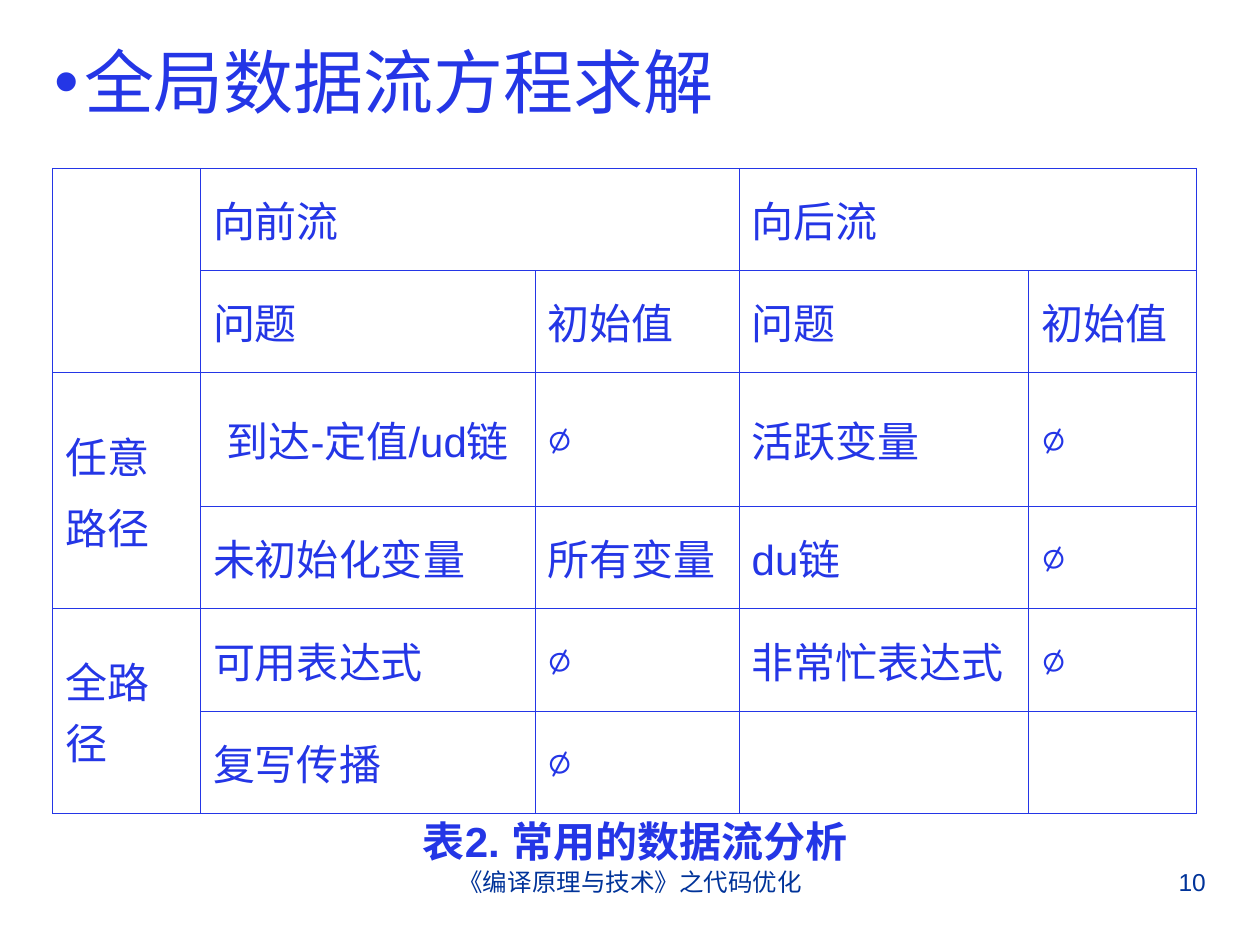
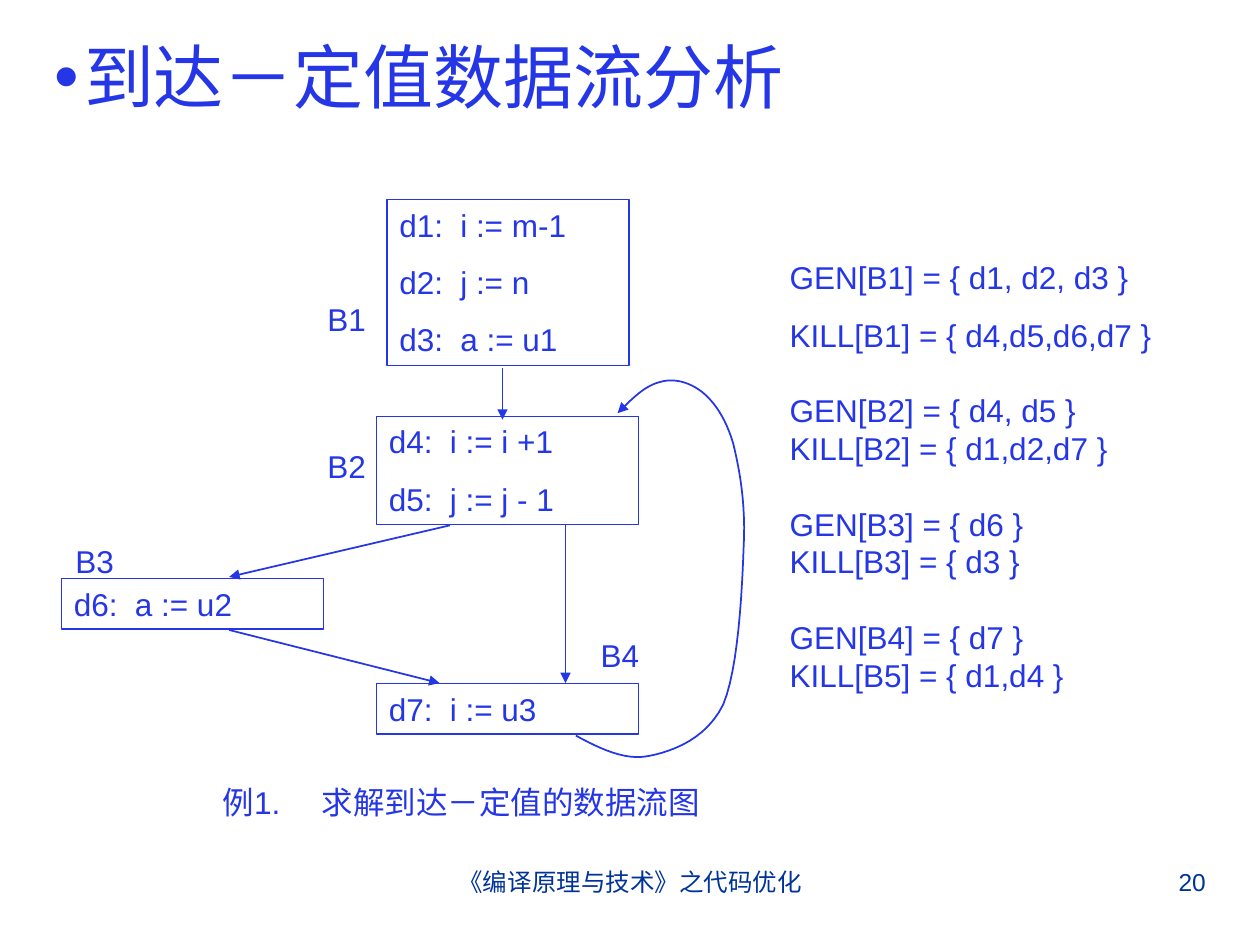
from lxml import etree
from pptx import Presentation
from pptx.dml.color import RGBColor
from pptx.enum import shapes, text
from pptx.oxml import ns
from pptx.util import Cm, Pt

COLORS = {"ink": "2436E6", "footer": "003399"}
FONT, SYMBOL_FONT = "Arial", "Courier New"
EMPTY_SET = "∅"
LEFT, CENTER, RIGHT = text.PP_ALIGN.LEFT, text.PP_ALIGN.CENTER, text.PP_ALIGN.RIGHT
FOOTER = "《编译原理与技术》之代码优化"

# All places and sizes below are in centimetres.
ANALYSES = {
    "title": "全局数据流方程求解",
    "title_height": 1.98,
    "number": "10",
    "caption": "表2. 常用的数据流分析",
    "origin": (1.06, 3.39),
    "columns": [2.98, 6.75, 4.11, 5.84, 3.38],
    "rows": [2.06, 2.06, 2.7, 2.06, 2.06, 2.06],
    "cells": [
        ["", "向前流", "", "向后流", ""],
        ["", "问题", "初始值", "问题", "初始值"],
        ["任意\n路径", "到达-定值/ud链", EMPTY_SET, "活跃变量", EMPTY_SET],
        ["", "未初始化变量", "所有变量", "du链", EMPTY_SET],
        ["全路径", "可用表达式", EMPTY_SET, "非常忙表达式", EMPTY_SET],
        ["", "复写传播", EMPTY_SET, "", ""],
    ],
    "merges": [((0, 0), (1, 0)), ((0, 1), (0, 2)), ((0, 3), (0, 4)),
               ((2, 0), (3, 0)), ((4, 0), (5, 0))],
    "centered": (2, 1),
}

FLOW = {
    "title": "到达－定值数据流分析",
    "title_height": 1.78,
    "number": "20",
    "caption": "例1.\t求解到达－定值的数据流图",
    # name, label position, block box, statements
    "blocks": [
        ("B1", (6.35, 5.92), (7.8, 4.02, 4.88, 3.35),
         ["d1:\ti := m-1", "d2:\tj := n", "d3:\ta := u1"]),
        ("B2", (6.35, 8.89), (7.59, 8.39, 5.28, 2.18),
         ["d4:\ti := i +1", "d5:\tj := j - 1"]),
        ("B3", (1.27, 10.8), (1.24, 11.66, 5.28, 1.02), ["d6:\ta := u2"]),
        ("B4", (11.86, 12.7), (7.59, 13.78, 5.28, 1.02), ["d7:\ti := u3"]),
    ],
    "edges": [
        ((10.13, 7.42), (10.13, 8.46)),
        ((9.07, 10.59), (4.62, 11.63)),
        ((4.62, 12.7), (8.86, 13.77)),
        ((11.4, 10.59), (11.4, 13.77)),
    ],
    # start point, then two control points and an end point for each bend
    "back_edge": [
        (11.61, 14.83),
        (12.09, 15.09), (12.6, 15.34), (13.08, 15.24),
        (13.59, 15.14), (14.25, 14.88), (14.58, 14.2),
        (14.88, 13.49), (14.96, 11.91), (14.99, 11.05),
        (15.04, 10.16), (14.91, 9.47), (14.78, 8.94),
        (14.63, 8.43), (14.4, 8.1), (14.15, 7.9),
        (13.89, 7.7), (13.59, 7.62), (13.31, 7.7),
        (13, 7.77), (12.73, 8.05), (12.45, 8.33),
    ],
    "sets": [
        ("GEN[B1] = { d1, d2, d3 }", "KILL[B1] = { d4,d5,d6,d7 }"),
        ("GEN[B2] = { d4, d5 }", "KILL[B2] = { d1,d2,d7 }"),
        ("GEN[B3] = { d6 }", "KILL[B3] = { d3 }"),
        ("GEN[B4] = { d7 }", "KILL[B5] = { d1,d4 }"),
    ],
}
STATEMENT_GAP, SET_GAP = 11.2, 21.6


def rgb(name):
    return RGBColor.from_string(COLORS[name])


def add_xml(parent, tag, **attributes):
    return etree.SubElement(parent, ns.qn(tag), attributes)


def write(frame, lines, size, gap=0, align=LEFT, color="ink", bold=False, tab=None):
    """Fill a frame; gap is the space before, one for all lines or a list."""
    frame.word_wrap = True
    gaps = gap if isinstance(gap, list) else [gap] * len(lines)
    for index, (line, before) in enumerate(zip(lines, gaps)):
        paragraph = frame.add_paragraph() if index else frame.paragraphs[0]
        paragraph.alignment = align
        paragraph.space_before = Pt(before)
        if tab:
            stops = add_xml(paragraph._p.get_or_add_pPr(), "a:tabLst")
            add_xml(stops, "a:tab", pos=str(Cm(tab)), algn="l")
        run = paragraph.add_run()
        run.text = line
        run.font.name = SYMBOL_FONT if line == EMPTY_SET else FONT
        run.font.size = Pt(size)
        run.font.bold = bold
        run.font.color.rgb = rgb(color)


def add_text(slide, box, lines, size, **style):
    frame = slide.shapes.add_textbox(*map(Cm, box)).text_frame
    write(frame, lines, size, **style)


def draw_line(shape, width, arrow=False):
    shape.line.color.rgb = rgb("ink")
    shape.line.width = Pt(width)
    if arrow:
        add_xml(shape.line._get_or_add_ln(), "a:tailEnd", type="triangle")


def start_slide(deck, content):
    """Add a slide with the shared bulleted title, footer and page number."""
    slide = deck.slides.add_slide(deck.slide_layouts[5])
    title = slide.shapes.title
    title.left, title.top = Cm(0.84), Cm(0.64)
    title.width, title.height = Cm(23.72), Cm(content["title_height"])
    frame = title.text_frame
    frame.auto_size = text.MSO_AUTO_SIZE.NONE
    frame.vertical_anchor = text.MSO_ANCHOR.MIDDLE
    write(frame, [content["title"]], 40)
    layout = frame.paragraphs[0]._p.get_or_add_pPr()
    hang = Cm(0.6)
    layout.set("marL", str(hang))
    layout.set("indent", str(-hang))
    add_xml(add_xml(layout, "a:buClr"), "a:srgbClr", val=COLORS["ink"])
    add_xml(layout, "a:buFont", typeface=FONT)
    add_xml(layout, "a:buChar", char="•")

    add_text(slide, (8.68, 17.35, 8.06, 1.32), [FOOTER], 14,
             align=CENTER, color="footer")
    add_text(slide, (18.2, 17.35, 6.36, 1.32), [content["number"]], 14,
             align=RIGHT, color="footer")
    return slide


def draw_borders(cell):
    properties = cell._tc.get_or_add_tcPr()
    for side in "LRTB":
        border = add_xml(properties, f"a:ln{side}", w=str(Pt(0.45)))
        add_xml(add_xml(border, "a:solidFill"), "a:srgbClr", val=COLORS["ink"])


def add_analyses(slide, content):
    columns, rows = content["columns"], content["rows"]
    box = (*content["origin"], sum(columns), sum(rows))
    table = slide.shapes.add_table(len(rows), len(columns), *map(Cm, box)).table
    table.first_row = table.horz_banding = False
    for column, width in zip(table.columns, columns):
        column.width = Cm(width)
    for row, height in zip(table.rows, rows):
        row.height = Cm(height)
    for first, last in content["merges"]:
        table.cell(*first).merge(table.cell(*last))
    for r, labels in enumerate(content["cells"]):
        for c, label in enumerate(labels):
            cell = table.cell(r, c)
            draw_borders(cell)
            cell.fill.background()
            cell.vertical_anchor = text.MSO_ANCHOR.MIDDLE
            if label:
                align = CENTER if (r, c) == content["centered"] else LEFT
                write(cell.text_frame, label.split("\n"), 24, gap=6, align=align)


def add_block(slide, name, label_at, box, statements):
    block = slide.shapes.add_shape(shapes.MSO_SHAPE.RECTANGLE, *map(Cm, box))
    block.shadow.inherit = False
    block.fill.background()
    draw_line(block, 0.75)
    block.text_frame.vertical_anchor = text.MSO_ANCHOR.TOP
    write(block.text_frame, statements, 18, gap=STATEMENT_GAP, tab=1.23)
    add_text(slide, (*label_at, 1.7, 1.02), [name], 18, gap=STATEMENT_GAP)


def add_edge(slide, start, end):
    edge = slide.shapes.add_connector(
        shapes.MSO_CONNECTOR.STRAIGHT, *map(Cm, start + end))
    draw_line(edge, 1, arrow=True)
    add_xml(edge._element.spPr, "a:effectLst")


def bezier_points(points, steps=12):
    """Sample a chain of cubic curves, leaving out its start point."""
    for first in range(0, len(points) - 1, 3):
        bend = points[first:first + 4]
        for step in range(1, steps + 1):
            t = step / steps
            weights = ((1 - t) ** 3, 3 * t * (1 - t) ** 2, 3 * t * t * (1 - t), t ** 3)
            yield tuple(Cm(sum(w * p[axis] for w, p in zip(weights, bend)))
                        for axis in (0, 1))


def add_back_edge(slide, points):
    builder = slide.shapes.build_freeform(*map(Cm, points[0]))
    builder.add_line_segments(bezier_points(points), close=False)
    curve = builder.convert_to_shape()
    curve.shadow.inherit = False
    curve.fill.background()
    draw_line(curve, 1, arrow=True)


def main():
    deck = Presentation()
    deck.slide_width, deck.slide_height = Cm(25.4), Cm(19.05)

    slide = start_slide(deck, ANALYSES)
    add_analyses(slide, ANALYSES)
    add_text(slide, (5.72, 16.31, 14.17, 1.27), [ANALYSES["caption"]], 24,
             gap=15, align=CENTER, bold=True)

    slide = start_slide(deck, FLOW)
    for block in FLOW["blocks"]:
        add_block(slide, *block)
    for edge in FLOW["edges"]:
        add_edge(slide, *edge)
    add_back_edge(slide, FLOW["back_edge"])
    equations = [equation for pair in FLOW["sets"] for equation in pair]
    gaps = [STATEMENT_GAP] * 2 + [SET_GAP, 0] * (len(FLOW["sets"]) - 1)
    add_text(slide, (15.67, 5.08, 8.05, 9.04), equations, 18, gap=gaps)
    add_text(slide, (4.24, 15.67, 10.36, 1.02), [FLOW["caption"]], 18,
             gap=STATEMENT_GAP, tab=2)

    deck.save("out.pptx")


if __name__ == "__main__":
    main()
